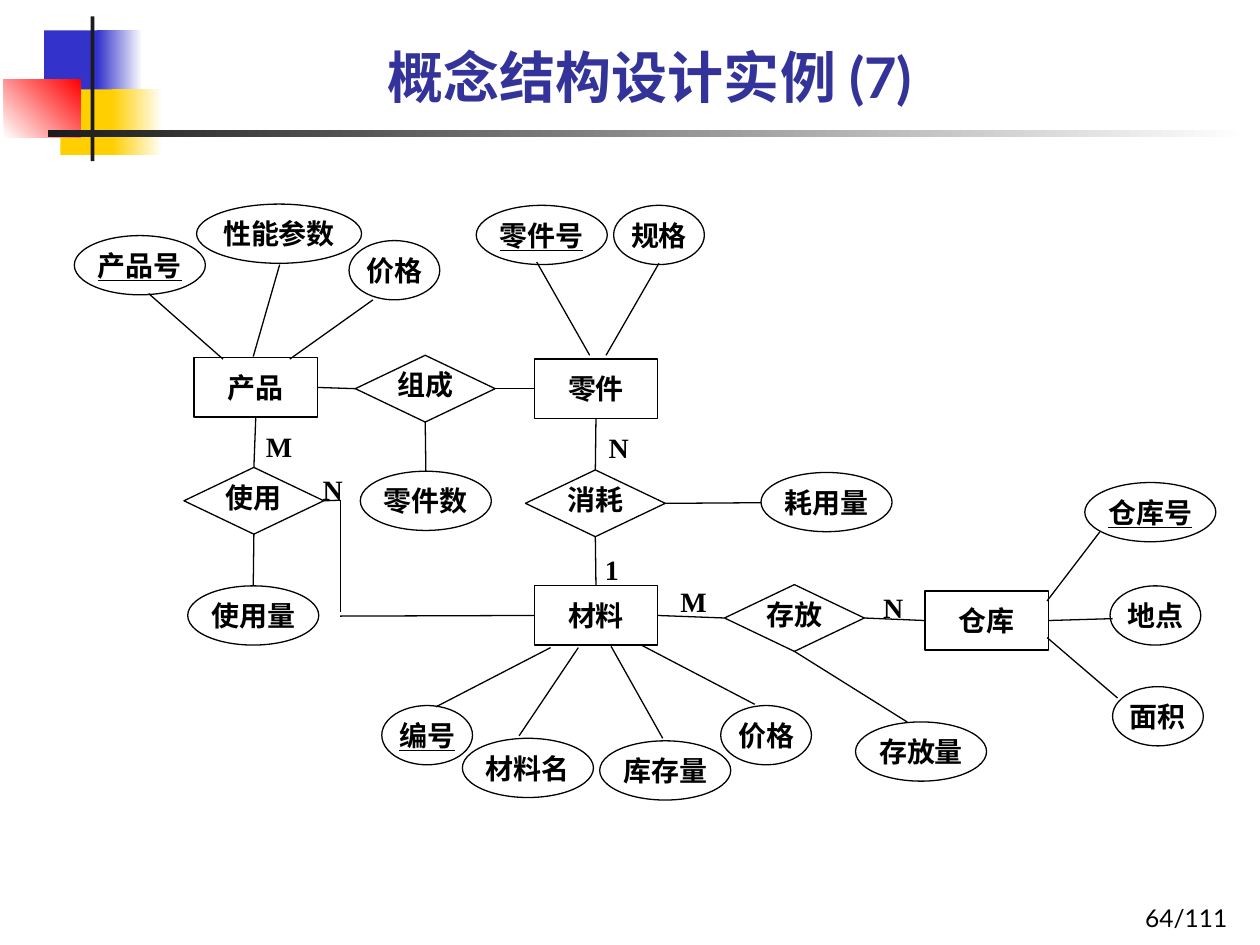
from typing import NamedTuple, Union

from lxml.etree import SubElement
from pptx import Presentation
from pptx.dml.color import RGBColor
from pptx.enum.shapes import MSO_CONNECTOR as Connector, MSO_SHAPE as Shape
from pptx.enum.text import MSO_ANCHOR as Anchor, PP_ALIGN as Align
from pptx.oxml.ns import qn
from pptx.util import Inches, Pt

COLORS = {"blue": "3333CC", "yellow": "FFCF01", "red": "FF0000", "dark": "1C1C1C",
          "white": "FFFFFF", "ink": "000000", "title": "333399"}
WIDTH, HEIGHT = Inches(10), Inches(7.5)
COLUMNS, ROWS = 100, 75
LINE_WIDTH = Pt(0.75)
TOP, LEFT, BOTTOM, RIGHT = range(4)
MARGINS = ("margin_left", "margin_top", "margin_right", "margin_bottom")

BODY_FONT = {"name": "Times New Roman", "size": Pt(16), "bold": True}
TITLE_FONT = {"name": "Lato", "size": Pt(32), "bold": True}
PAGE_FONT = {"name": "Lato", "size": Pt(14)}


class Kind(NamedTuple):
    preset: Shape
    height: float
    widths: dict  # columns by number of characters
    filled: bool
    paragraph: dict


class Node(NamedTuple):
    kind: Kind
    label: str
    col: float
    row: float
    is_key: bool = False


class Port(NamedTuple):
    label: str
    side: int


class Point(NamedTuple):
    col: float
    row: float


class Link(NamedTuple):
    start: Union[Port, Point]
    end: Union[Port, Point]


class Bar(NamedTuple):
    col: float
    row: float
    cols: float
    rows: float
    color: str
    fade_to: str = ""
    angle: int = 0


ENTITY = Kind(Shape.RECTANGLE, 4.7, {2: 9.8}, True, {"space_before": Pt(1.5)})
RELATION = Kind(Shape.DIAMOND, 5.3, {2: 11.1}, True, {"line_spacing": 0.72})
ATTRIBUTE = Kind(Shape.OVAL, 4.7, {2: 7.2, 3: 10.4, 4: 13.1}, False, {})

BARS = [
    Bar(3.5, 2.4, 4.8, 5.2, "blue"),
    Bar(7.7, 2.4, 3.6, 5.2, "blue", "white"),
    Bar(4.8, 7.1, 4.6, 5.2, "yellow"),
    Bar(8.9, 7.1, 4, 5.2, "yellow", "white"),
    Bar(0.3, 6.3, 6.1, 4.6, "white", "red", 45),
    Bar(7.2, 1.3, 0.3, 11.5, "dark"),
    Bar(3.8, 10.3, 95.1, 0.6, "dark", "white"),
]

NODES = [
    Node(ENTITY, "产品", 15.4, 28.4),
    Node(ENTITY, "零件", 42.4, 28.5),
    Node(ENTITY, "材料", 42.4, 46.5),
    Node(ENTITY, "仓库", 73.4, 46.9),
    Node(RELATION, "组成", 28.2, 28.2),
    Node(RELATION, "使用", 14.6, 37.1),
    Node(RELATION, "消耗", 41.7, 37.3),
    Node(RELATION, "存放", 57.5, 46.4),
    Node(ATTRIBUTE, "产品号", 5.9, 18.7, True),
    Node(ATTRIBUTE, "性能参数", 15.6, 16.2),
    Node(ATTRIBUTE, "价格", 27.7, 19.1),
    Node(ATTRIBUTE, "零件号", 37.8, 16.3, True),
    Node(ATTRIBUTE, "规格", 48.7, 16.3),
    Node(ATTRIBUTE, "零件数", 28.6, 37.4),
    Node(ATTRIBUTE, "使用量", 14.9, 46.5),
    Node(ATTRIBUTE, "耗用量", 60.4, 37.5),
    Node(ATTRIBUTE, "存放量", 67.9, 57.3),
    Node(ATTRIBUTE, "编号", 30.3, 56, True),
    Node(ATTRIBUTE, "材料名", 36.7, 58.6),
    Node(ATTRIBUTE, "库存量", 47.6, 58.8),
    Node(ATTRIBUTE, "价格", 57.2, 56),
    Node(ATTRIBUTE, "仓库号", 86.1, 38.3, True),
    Node(ATTRIBUTE, "地点", 88.1, 46.5),
    Node(ATTRIBUTE, "面积", 88.3, 54.5),
]

LINKS = [
    # relations with their entities
    Link(Port("产品", RIGHT), Port("组成", LEFT)),
    Link(Port("组成", RIGHT), Port("零件", LEFT)),
    Link(Port("产品", BOTTOM), Port("使用", TOP)),
    Link(Port("零件", BOTTOM), Port("消耗", TOP)),
    Link(Port("消耗", BOTTOM), Port("材料", TOP)),
    Link(Port("材料", RIGHT), Port("存放", LEFT)),
    Link(Port("存放", RIGHT), Port("仓库", LEFT)),
    Link(Port("使用", RIGHT), Point(27, 39.7)),
    Link(Point(27, 39.7), Point(27, 48.6)),
    Link(Point(27, 48.9), Port("材料", LEFT)),
    # relations with their attributes
    Link(Port("组成", BOTTOM), Port("零件数", TOP)),
    Link(Port("使用", BOTTOM), Port("使用量", TOP)),
    Link(Port("消耗", RIGHT), Point(60.4, 39.9)),
    Link(Port("存放", BOTTOM), Point(72, 57.3)),
    # entities with their attributes
    Link(Point(11.8, 23.3), Point(17.7, 28.5)),
    Link(Point(22.2, 21), Point(20.1, 28.3)),
    Link(Point(29.6, 23.8), Point(23, 28.5)),
    Link(Point(42.6, 20.8), Point(46.8, 28.2)),
    Link(Point(52.3, 20.9), Point(48.1, 28.2)),
    Link(Point(43.7, 51.4), Point(34.6, 56.1)),
    Link(Point(45.9, 51.4), Point(41.2, 58.4)),
    Link(Point(48.5, 51.3), Point(52.6, 58.6)),
    Link(Point(50.9, 51.2), Point(59.9, 55.9)),
    Link(Point(83.1, 47.7), Point(87.3, 42.2)),
    Link(Port("仓库", RIGHT), Point(88.3, 49.1)),
    Link(Point(83.1, 50.6), Point(88.7, 55.4)),
]

CARDINALITIES = [("M", 21.1, 33.1), ("M", 54, 45.4), ("N", 25.6, 36.5),
                 ("N", 48.3, 33.2), ("1", 48, 42.9), ("N", 70.1, 45.9)]


def x(cols: float) -> int:
    return round(WIDTH * cols / COLUMNS)


def y(rows: float) -> int:
    return round(HEIGHT * rows / ROWS)


def box(col: float, row: float, cols: float, rows: float) -> tuple:
    return x(col), y(row), x(cols), y(rows)


def rgb(name: str) -> RGBColor:
    return RGBColor.from_string(COLORS[name])


def apply(target, values: dict) -> None:
    for attribute, value in values.items():
        setattr(target, attribute, value)


def write(frame, text: str, font: dict, align, anchor, color="ink", margin=None, paragraph=None) -> None:
    apply(frame, {"word_wrap": True, "vertical_anchor": anchor})
    if margin is not None:
        apply(frame, dict.fromkeys(MARGINS, margin))
    line = frame.paragraphs[0]
    apply(line, {"alignment": align, **(paragraph or {})})
    run = line.add_run()
    run.text = text
    apply(run.font, font)
    run.font.color.rgb = rgb(color)


def draw_bar(shapes, bar: Bar) -> None:
    block = shapes.add_shape(Shape.RECTANGLE, *box(*bar[:4]))
    block.shadow.inherit = False
    block.line.fill.background()
    if bar.fade_to:
        block.fill.gradient()
        block.fill.gradient_angle = bar.angle
        for stop, color in zip(block.fill.gradient_stops, (bar.color, bar.fade_to)):
            stop.color.rgb = rgb(color)
    else:
        block.fill.solid()
        block.fill.fore_color.rgb = rgb(bar.color)


def draw_node(shapes, node: Node):
    kind = node.kind
    figure = shapes.add_shape(kind.preset, *box(node.col, node.row, kind.widths[len(node.label)], kind.height))
    figure.shadow.inherit = False
    if kind.filled:
        figure.fill.solid()
        figure.fill.fore_color.rgb = rgb("white")
    else:
        figure.fill.background()
    figure.line.color.rgb = rgb("ink")
    figure.line.width = LINE_WIDTH
    font = {**BODY_FONT, "underline": True} if node.is_key else BODY_FONT
    write(figure.text_frame, node.label, font, Align.CENTER, Anchor.MIDDLE,
          margin=0, paragraph=kind.paragraph)
    return figure


def draw_link(shapes, link: Link, figures: dict) -> None:
    ends = [(x(e.col), y(e.row)) if isinstance(e, Point) else (0, 0) for e in link]
    wire = shapes.add_connector(Connector.STRAIGHT, *ends[0], *ends[1])
    for end, join in zip(link, (wire.begin_connect, wire.end_connect)):
        if isinstance(end, Port):
            join(figures[end.label], end.side)
    wire.line.color.rgb = rgb("ink")
    wire.line.width = LINE_WIDTH
    SubElement(wire.line._get_or_add_ln().getparent(), qn("a:effectLst"))


def main() -> None:
    deck = Presentation()
    deck.slide_width, deck.slide_height = WIDTH, HEIGHT
    slide = deck.slides.add_slide(deck.slide_layouts[5])
    shapes = slide.shapes
    for bar in BARS:
        draw_bar(shapes, bar)

    title = shapes.title
    apply(title, dict(zip(("left", "top", "width", "height"), box(9, 0.5, 85.2, 8.7))))
    write(title.text_frame, "概念结构设计实例 (7)", TITLE_FONT, Align.CENTER, Anchor.BOTTOM, "title")
    page = shapes.add_textbox(*box(77.6, 69.5, 20.8, 5))
    write(page.text_frame, "64/111", PAGE_FONT, Align.RIGHT, Anchor.BOTTOM)

    figures = {node.label: draw_node(shapes, node) for node in NODES}
    for link in LINKS:
        draw_link(shapes, link, figures)
    for count, col, row in CARDINALITIES:
        mark = shapes.add_textbox(*box(col, row, 2.1, 4.6))
        write(mark.text_frame, count, BODY_FONT, Align.JUSTIFY, Anchor.MIDDLE, margin=0)

    deck.save("out.pptx")


if __name__ == "__main__":
    main()
